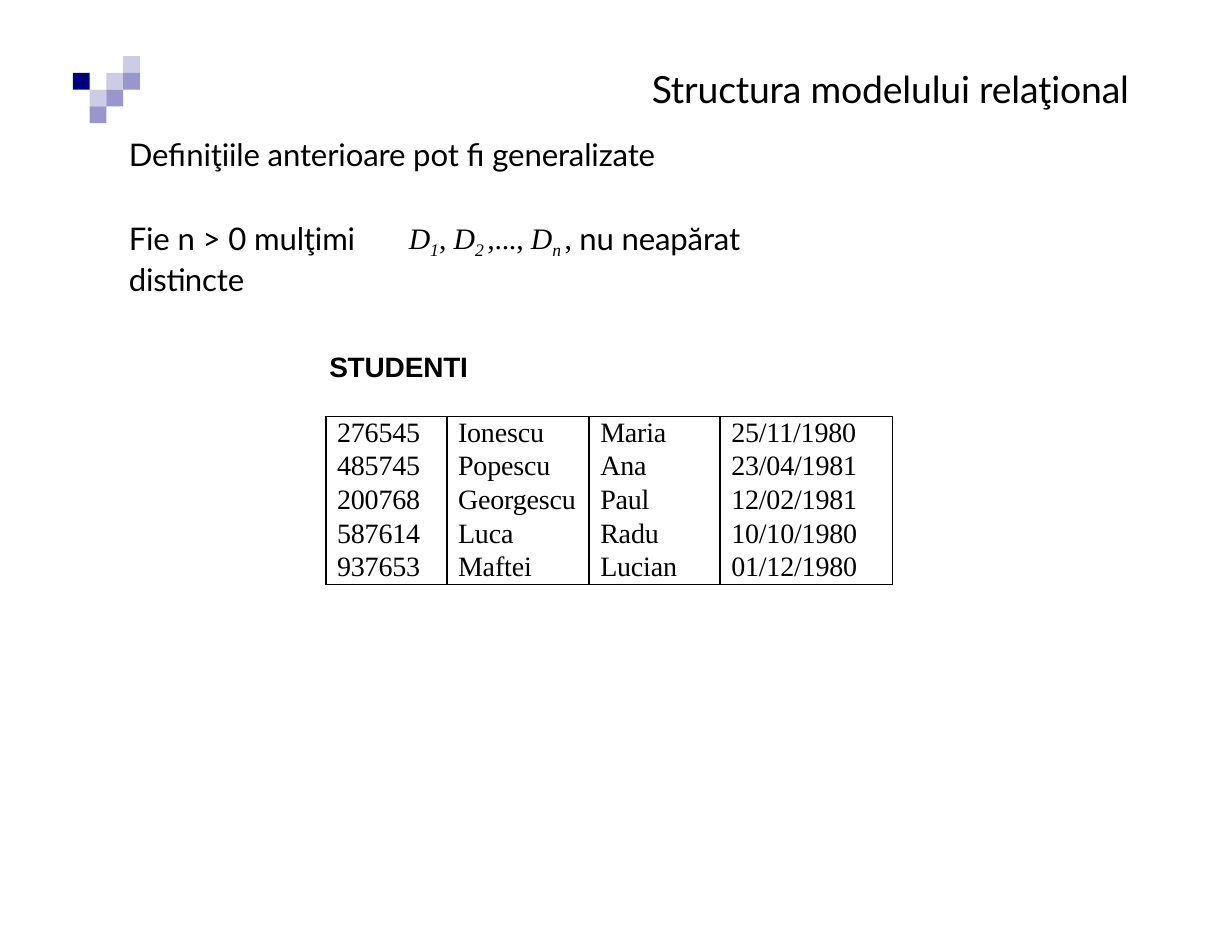
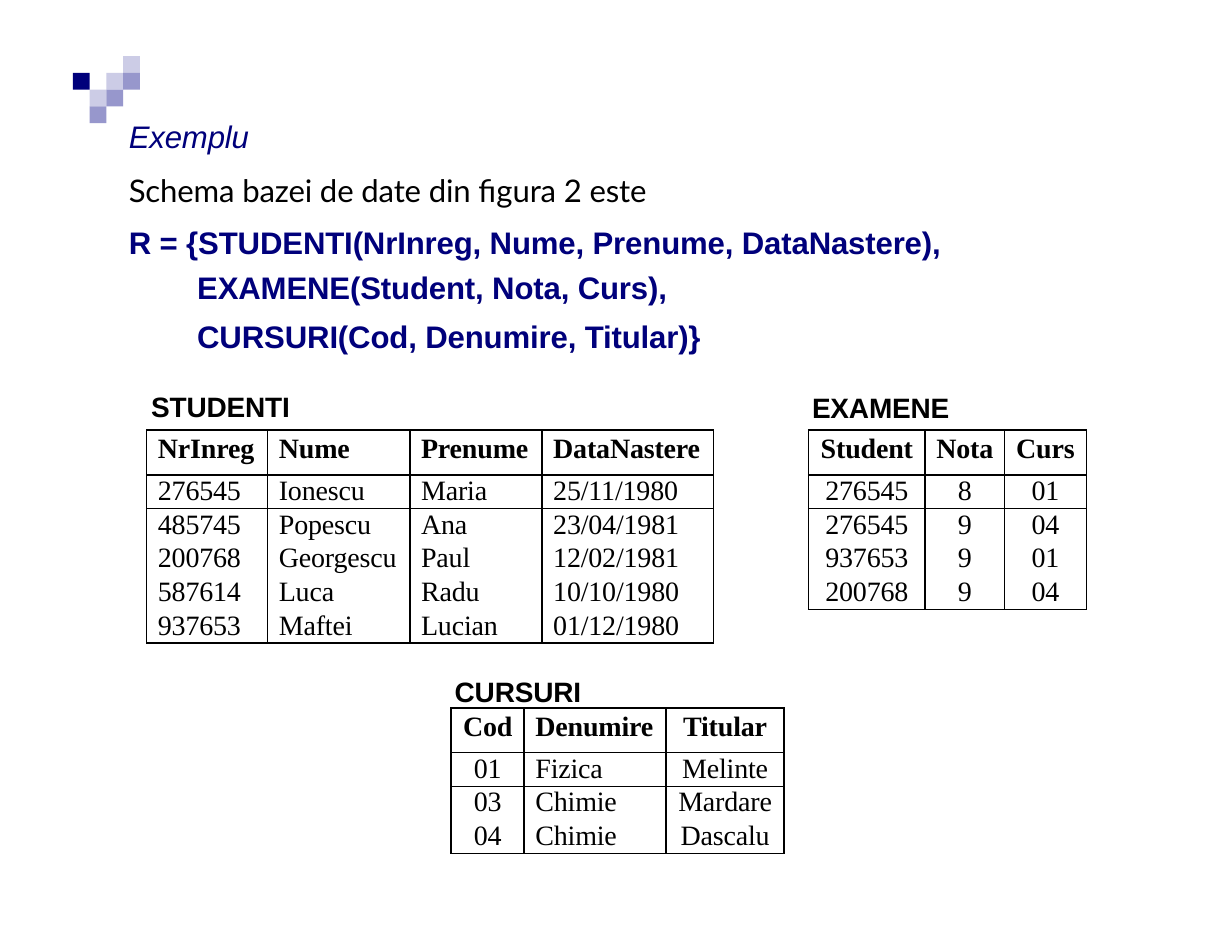
from dataclasses import dataclass
from typing import Optional

from lxml.etree import SubElement
from pptx import Presentation
from pptx.dml.color import RGBColor
from pptx.enum.shapes import MSO_SHAPE
from pptx.enum.text import PP_ALIGN
from pptx.oxml.ns import qn
from pptx.slide import Slide
from pptx.table import _Cell
from pptx.text.text import _Paragraph
from pptx.util import Emu, Pt

EMU_PER_PX = 9144


def px(length: int) -> Emu:
    return Emu(length * EMU_PER_PX)


@dataclass(frozen=True)
class Theme:
    ink: str = "000000"
    navy: str = "00007B"
    lilac: str = "9797CC"
    mist: str = "CCCCE6"
    sans: str = "Lato"
    label: str = "Arial"
    serif: str = "Times New Roman"
    title: float = 24
    body: float = 20
    table: float = 18
    symbol: float = 33
    subscript: float = 19.5
    tracking: int = -10
    row_spacing: float = 20.4


THEME = Theme()


@dataclass(frozen=True)
class Style:
    font: str
    size: float
    color: str = THEME.ink
    bold: bool = False
    italic: bool = False


TITLE = Style(THEME.sans, THEME.title)
BODY = Style(THEME.sans, THEME.body)
EXAMPLE = Style(THEME.label, THEME.body, THEME.navy, italic=True)
SCHEMA = Style(THEME.label, THEME.body, THEME.navy, bold=True)
CAPTION = Style(THEME.label, THEME.table, bold=True)
HEADING = Style(THEME.serif, THEME.table, bold=True)
VALUE = Style(THEME.serif, THEME.table)


@dataclass(frozen=True)
class Span:
    text: str
    size: Optional[float] = None
    italic: bool = False
    baseline: int = 0
    tracking: int = THEME.tracking


@dataclass(frozen=True)
class Line:
    spans: tuple[Span, ...]
    style: Style
    before: float = 1
    margin: int = 1
    indent: int = 0
    spacing: Optional[float] = None
    tab: Optional[int] = None


@dataclass(frozen=True)
class Block:
    left: int
    top: int
    width: int
    height: int
    lines: tuple[Line, ...]
    inset: int = 1


@dataclass(frozen=True)
class Relation:
    name: str
    caption: tuple[int, int, int]
    left: int
    top: int
    columns: tuple[int, ...]
    edges: tuple[float, ...]
    aligns: str
    rows: tuple[tuple[str, ...], ...]
    header: tuple[str, ...] = ()


@dataclass(frozen=True)
class Tile:
    column: int
    row: int
    color: str


TILE_SIDE = 15
MOSAIC_LEFT, MOSAIC_TOP = 65, 50
MOSAIC = (
    Tile(2, 1, THEME.mist), Tile(3, 0, THEME.mist), Tile(3, 1, THEME.lilac),
    Tile(1, 2, THEME.mist), Tile(0, 1, THEME.navy), Tile(1, 3, THEME.lilac),
    Tile(2, 2, THEME.lilac),
)


def plain(text: str, style: Style, **layout) -> Line:
    return Line((Span(text),), style, **layout)


def variable(index: str) -> tuple[Span, Span]:
    return (Span("D", THEME.symbol, True, 1000, -60),
            Span(index, THEME.subscript, True, -19000, -60))


def separator(text: str) -> Span:
    return Span(text, THEME.symbol, False, 1000)


def write_line(paragraph: _Paragraph, line: Line) -> None:
    properties = paragraph._p.get_or_add_pPr()
    properties.set("marL", str(px(line.margin)))
    properties.set("indent", str(px(line.indent)))
    if line.tab is not None:
        stops = SubElement(properties, qn("a:tabLst"))
        SubElement(stops, qn("a:tab"), pos=str(px(line.tab)), algn="l")
    paragraph.space_before = Pt(line.before)
    if line.spacing is not None:
        paragraph.line_spacing = line.spacing
    font, style = paragraph.font, line.style
    font.name, font.size = style.font, Pt(style.size)
    font.bold, font.italic = style.bold, style.italic
    font.color.rgb = RGBColor.from_string(style.color)
    for span in line.spans:
        run = paragraph.add_run()
        run.text = span.text
        attributes = run._r.get_or_add_rPr()
        attributes.set("spc", str(span.tracking))
        if span.size is not None:
            run.font.name, run.font.size = THEME.serif, Pt(span.size)
            run.font.italic = span.italic
            attributes.set("baseline", str(span.baseline))


def draw_block(slide: Slide, block: Block) -> None:
    frame = slide.shapes.add_textbox(
        px(block.left), px(block.top), px(block.width), px(block.height)).text_frame
    frame.word_wrap = True
    frame.margin_left = frame.margin_right = frame.margin_bottom = 0
    frame.margin_top = px(block.inset)
    for index, line in enumerate(block.lines):
        write_line(frame.add_paragraph() if index else frame.paragraphs[0], line)


def draw_mosaic(slide: Slide) -> None:
    for tile in MOSAIC:
        square = slide.shapes.add_shape(
            MSO_SHAPE.RECTANGLE,
            px(MOSAIC_LEFT + tile.column * TILE_SIDE), px(MOSAIC_TOP + tile.row * TILE_SIDE),
            px(TILE_SIDE), px(TILE_SIDE))
        square.shadow.inherit = False
        square.fill.solid()
        square.fill.fore_color.rgb = RGBColor.from_string(tile.color)
        square.line.fill.background()


def set_borders(cell: _Cell, left: float, right: float, top: float, bottom: float) -> None:
    properties = cell._tc.get_or_add_tcPr()
    for side, width in zip("LRTB", (left, right, top, bottom)):
        border = SubElement(properties, qn(f"a:ln{side}"), w=str(Pt(width)))
        if width:
            paint = SubElement(border, qn("a:solidFill"))
            SubElement(paint, qn("a:srgbClr"), val=THEME.ink)
        else:
            SubElement(border, qn("a:noFill"))


def draw_relation(slide: Slide, relation: Relation) -> None:
    left, top, width = relation.caption
    draw_block(slide, Block(left, top, width, 33, (plain(relation.name, CAPTION),)))
    records = ((relation.header,) if relation.header else ()) + relation.rows
    heights = [40 if record is relation.header else 30 for record in records]
    ruled = {0, len(records)} | ({1, 2} if relation.header else set())
    table = slide.shapes.add_table(
        len(records), len(relation.columns), px(relation.left), px(relation.top),
        px(sum(relation.columns)), px(sum(heights))).table
    table.first_row = table.horz_banding = False
    for column, column_width in zip(table.columns, relation.columns):
        column.width = px(column_width)
    for row, (record, height) in enumerate(zip(records, heights)):
        table.rows[row].height = px(height)
        heading = record is relation.header
        for column, value in enumerate(record):
            cell = table.cell(row, column)
            cell.margin_left = cell.margin_right = cell.margin_bottom = 0
            cell.margin_top = px(3 if heading else 0)
            set_borders(cell, relation.edges[column], relation.edges[column + 1],
                        int(row in ruled), int(row + 1 in ruled))
            cell.fill.background()
            centred = relation.aligns[column] == "c"
            paragraph = cell.text_frame.paragraphs[0]
            paragraph.alignment = PP_ALIGN.CENTER if centred else PP_ALIGN.LEFT
            write_line(paragraph, plain(
                value, HEADING if heading else VALUE,
                before=2.4 if heading else 0, margin=0 if centred else 10,
                spacing=None if heading else Pt(THEME.row_spacing)))


STUDENTS = (
    ("276545", "Ionescu", "Maria", "25/11/1980"),
    ("485745", "Popescu", "Ana", "23/04/1981"),
    ("200768", "Georgescu", "Paul", "12/02/1981"),
    ("587614", "Luca", "Radu", "10/10/1980"),
    ("937653", "Maftei", "Lucian", "01/12/1980"),
)
GENERALISATION = (
    Block(581, 58, 433, 43, (plain("Structura modelului relaţional", TITLE),)),
    Block(111, 120, 658, 96, (
        plain("Definiţiile anterioare pot fi generalizate", BODY, margin=4),
        Line((Span("Fie n > 0 mulţimi\t"), *variable("1"), separator(", "),
              *variable("2 "), separator(",..., "), *variable("n "), separator(", "),
              Span("nu neapărat distincte")),
             BODY, before=16.9, margin=4, tab=230),
    )),
)
SCHEMA_EXAMPLE = (
    Block(114, 104, 110, 36, (plain("Exemplu", EXAMPLE),)),
    Block(114, 139, 729, 179, (
        plain("Schema bazei de date din figura 2 este", BODY, before=10.3),
        plain("R = {STUDENTI(NrInreg, Nume, Prenume, DataNastere), "
              "EXAMENE(Student, Nota, Curs),",
              SCHEMA, before=4.5, margin=62, indent=-61, spacing=1.2),
        plain("CURSURI(Cod, Denumire, Titular)}", SCHEMA, before=7.5, margin=62),
    ), inset=14),
)
UNNAMED_COLUMNS = (
    Relation("STUDENTI", (293, 311, 128), 291, 372, (108, 127, 117, 154),
             (1, 1, 1, 1, 1), "llll", STUDENTS),
)
DATABASE = (
    Relation("STUDENTI", (134, 347, 128), 131, 384, (108, 127, 118, 153),
             (1, 1, 1.5, 1, 1), "llll", STUDENTS,
             ("NrInreg", "Nume", "Prenume", "DataNastere")),
    Relation("EXAMENE", (724, 348, 125), 722, 384, (104, 71, 73), (1, 1, 1, 1), "ccc",
             (("276545", "8", "01"), ("276545", "9", "04"),
              ("937653", "9", "01"), ("200768", "9", "04")),
             ("Student", "Nota", "Curs")),
    Relation("CURSURI", (405, 601, 116), 403, 632, (65, 127, 105), (1.5, 1, 1.5, 1), "clc",
             (("01", "Fizica", "Melinte"), ("03", "Chimie", "Mardare"),
              ("04", "Chimie", "Dascalu")),
             ("Cod", "Denumire", "Titular")),
)


def main() -> None:
    deck = Presentation()
    deck.slide_width, deck.slide_height = px(1100), px(850)
    for blocks, relations in ((GENERALISATION, UNNAMED_COLUMNS), (SCHEMA_EXAMPLE, DATABASE)):
        slide = deck.slides.add_slide(deck.slide_layouts[6])
        draw_mosaic(slide)
        for block in blocks:
            draw_block(slide, block)
        for relation in relations:
            draw_relation(slide, relation)
    deck.save("out.pptx")


if __name__ == "__main__":
    main()
